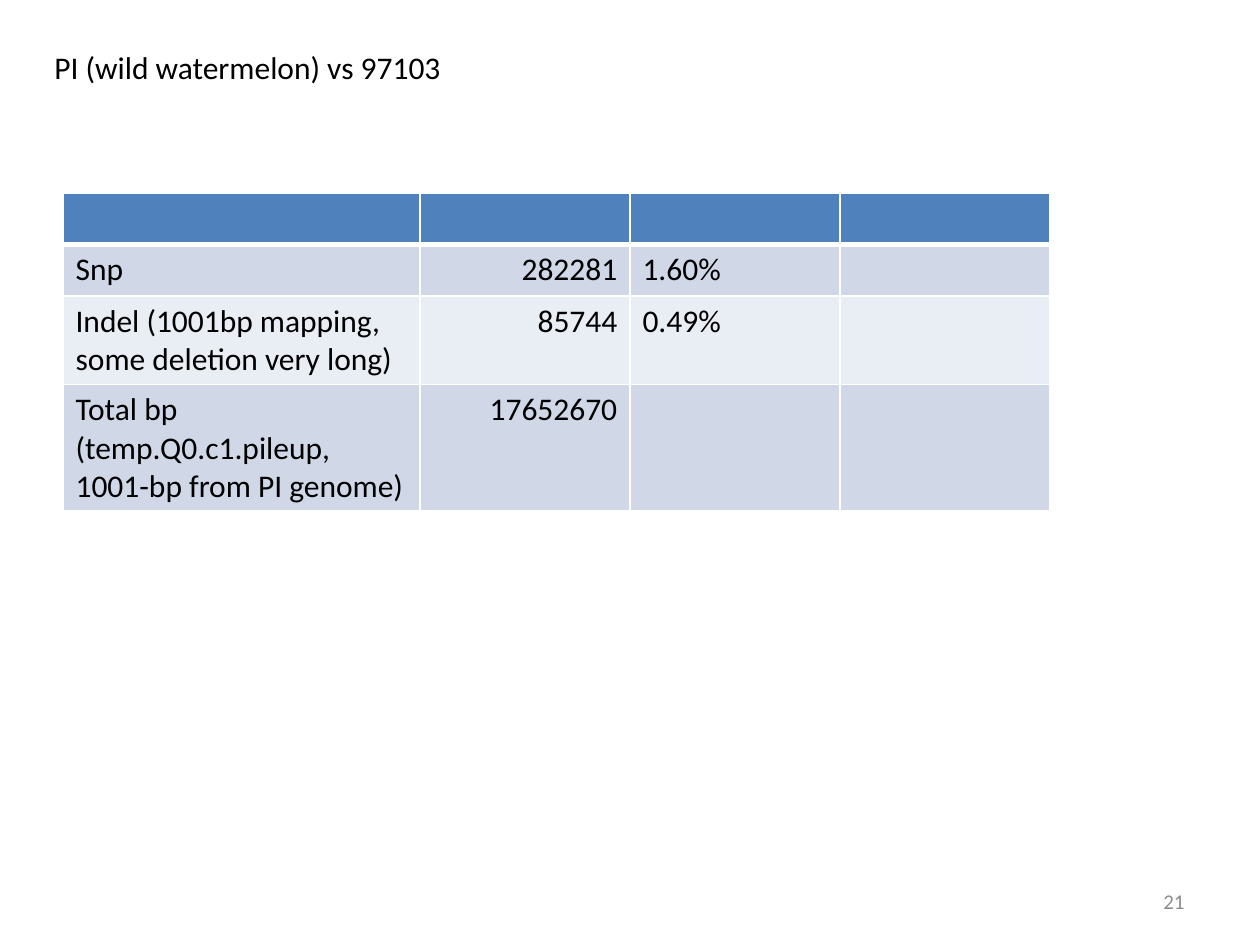
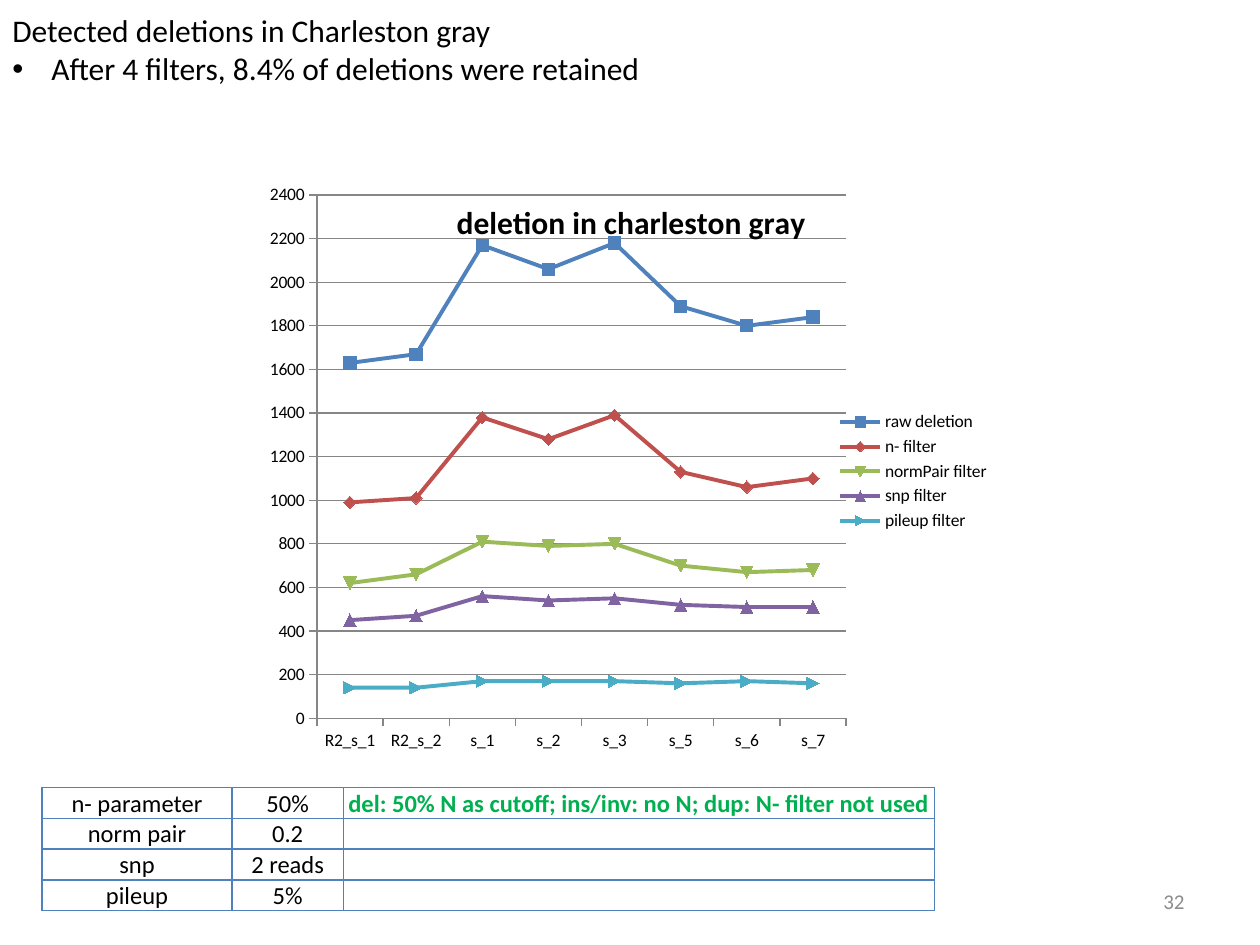
import pptx
import pptx.chart.data
import pptx.dml.color
import pptx.enum.chart
import pptx.enum.text
import pptx.oxml
import pptx.oxml.ns
import pptx.util
from lxml import etree

# ---- Content ----
COLORS = {
    "black": "000000", "white": "FFFFFF", "page": "8C8C8C", "grid": "868686",
    "blue": "4F81BD", "red": "C0504D", "olive": "9BBB59", "purple": "8064A2",
    "aqua": "4BACC6", "green": "00B050", "band": "D0D8E8", "pale": "E9EDF4",
}
FONT = "Calibri"
GRID_COLUMNS, GRID_ROWS = 120, 90

VARIANT_HEADING = "PI (wild watermelon) vs 97103"
VARIANTS = [
    ("", "", "", ""),
    ("Snp", "282281", "1.60%", ""),
    ("Indel (1001bp mapping, some deletion very long)", "85744", "0.49%", ""),
    ("Total bp (temp.Q0.c1.pileup, 1001-bp from PI genome)", "17652670", "", ""),
]
VARIANT_FILLS = ["blue", "band", "pale", "band"]

DELETION_HEADING = "Detected deletions in Charleston gray"
DELETION_FINDING = "After 4 filters, 8.4% of deletions were retained"
CHART_TITLE = "deletion in charleston gray"
SAMPLES = ["R2_s_1", "R2_s_2", "s_1", "s_2", "s_3", "s_5", "s_6", "s_7"]
DELETIONS = [
    ("raw deletion", "blue", (1630, 1670, 2170, 2060, 2180, 1890, 1800, 1840)),
    ("n- filter", "red", (990, 1010, 1380, 1280, 1390, 1130, 1060, 1100)),
    ("normPair filter", "olive", (620, 660, 810, 790, 800, 700, 670, 680)),
    ("snp filter", "purple", (450, 470, 560, 540, 550, 520, 510, 510)),
    ("pileup filter", "aqua", (140, 140, 170, 170, 170, 160, 170, 160)),
]
FILTERS = [
    ("n- parameter", "50%",
     "del: 50% N as cutoff; ins/inv: no N; dup: N- filter not used"),
    ("norm pair", "0.2", ""),
    ("snp", "2 reads", ""),
    ("pileup", "5%", ""),
]

ALIGN = pptx.enum.text.PP_ALIGN
MIDDLE = pptx.enum.text.MSO_ANCHOR.MIDDLE

deck = pptx.Presentation()
deck.slide_width = pptx.util.Inches(10)
deck.slide_height = pptx.util.Inches(7.5)


# ---- Shared helpers ----
def across(columns):
    return int(deck.slide_width * columns / GRID_COLUMNS)


def down(rows):
    return int(deck.slide_height * rows / GRID_ROWS)


def place(left, top, width, height):
    return across(left), down(top), across(width), down(height)


def rgb(name):
    return pptx.dml.color.RGBColor.from_string(COLORS[name])


def write(paragraph, text, size=18, color="black", bold=False,
          align=ALIGN.LEFT, bullet=False):
    paragraph.alignment = align
    if bullet:
        properties = paragraph._p.get_or_add_pPr()
        indent = pptx.util.Inches(0.31)
        properties.set("marL", str(indent))
        properties.set("indent", str(-indent))
        for tag, key, value in (("a:buFont", "typeface", "Arial"),
                                ("a:buChar", "char", "•")):
            mark = etree.SubElement(properties, pptx.oxml.ns.qn(tag))
            mark.set(key, value)
    if not text:
        paragraph._p.get_or_add_endParaRPr().set("sz", str(size * 100))
        return
    run = paragraph.add_run()
    run.text = text
    run.font.name = FONT
    run.font.size = pptx.util.Pt(size)
    run.font.bold = bold
    run.font.color.rgb = rgb(color)


def add_box(slide, *area):
    frame = slide.shapes.add_textbox(*place(*area)).text_frame
    frame.word_wrap = True
    return frame


def add_page(number):
    slide = deck.slides.add_slide(deck.slide_layouts[6])
    frame = add_box(slide, 86, 83.4, 28, 4.8)
    frame.vertical_anchor = MIDDLE
    write(frame.paragraphs[0], number, size=12, color="page", align=ALIGN.RIGHT)
    return slide


def add_grid(slide, left, top, widths, heights):
    table = slide.shapes.add_table(
        len(heights), len(widths),
        *place(left, top, sum(widths), sum(heights))).table
    table.first_row = table.horz_banding = False
    for column, width in zip(table.columns, widths):
        column.width = across(width)
    for row, height in zip(table.rows, heights):
        row.height = down(height)
    return table


def set_borders(cell, color, top=1, bottom=1):
    properties = cell._tc.get_or_add_tcPr()
    sides = (("L", 1), ("R", 1), ("T", top), ("B", bottom))
    for position, (side, points) in enumerate(sides):
        properties.insert(position, pptx.oxml.parse_xml(
            f'<a:ln{side} {pptx.oxml.ns.nsdecls("a")} w="{pptx.util.Pt(points)}">'
            f'<a:solidFill><a:srgbClr val="{COLORS[color]}"/></a:solidFill>'
            f'</a:ln{side}>'))


def chart_layout(target, **shares):
    """Set a manual layout, given as shares of the chart's size."""
    parts = "".join(f'<c:{tag} val="{value}"/>' for tag, value in shares.items())
    return pptx.oxml.parse_xml(
        f'<c:layout {pptx.oxml.ns.nsdecls("c")}><c:manualLayout>'
        f'<c:layoutTarget val="{target}"/>'
        f'<c:xMode val="edge"/><c:yMode val="edge"/>{parts}'
        f'</c:manualLayout></c:layout>')


def remove_layout(element):
    for layout in element.findall(pptx.oxml.ns.qn("c:layout")):
        element.remove(layout)


# ---- Variants in wild watermelon ----
def build_variants():
    slide = add_page("21")
    write(add_box(slide, 4, 4, 67, 4.8).paragraphs[0], VARIANT_HEADING)
    table = add_grid(slide, 6, 18.4, (34, 20, 20, 20), (4.9, 4.9, 8.4, 11.9))
    for row, values in enumerate(VARIANTS):
        for column, value in enumerate(values):
            cell = table.cell(row, column)
            cell.fill.solid()
            cell.fill.fore_color.rgb = rgb(VARIANT_FILLS[row])
            set_borders(cell, "white", top=3 if row == 1 else 1,
                        bottom=3 if row == 0 else 1)
            write(cell.text_frame.paragraphs[0], value,
                  align=ALIGN.RIGHT if column == 1 else ALIGN.LEFT)


# ---- Deletions left after each filter ----
def add_deletion_chart(slide):
    counts = pptx.chart.data.CategoryChartData()
    counts.categories = SAMPLES
    for name, _, values in DELETIONS:
        counts.add_series(name, values)
    chart = slide.shapes.add_chart(
        pptx.enum.chart.XL_CHART_TYPE.LINE_MARKERS,
        *place(24.5, 16.9, 71, 56), counts).chart
    chart.font.name = FONT
    chart.font.size = pptx.util.Pt(10)
    chart.font.color.rgb = rgb("black")

    chart.has_title = True
    write(chart.chart_title.text_frame.paragraphs[0], CHART_TITLE,
          bold=True, align=ALIGN.CENTER)
    title = chart.chart_title._element
    remove_layout(title)
    overlay = title.find(pptx.oxml.ns.qn("c:overlay"))
    overlay.set("val", "1")
    overlay.addprevious(chart_layout("outer", x=0.26, y=0.03))

    plot_area = chart._chartSpace.chart.plotArea
    remove_layout(plot_area)
    plot_area.insert(0, chart_layout("inner", x=0.08, y=0.03, w=0.71, h=0.89))

    chart.has_legend = True
    chart.legend.position = pptx.enum.chart.XL_LEGEND_POSITION.RIGHT
    chart.legend.include_in_layout = False

    counts_axis = chart.value_axis
    counts_axis.minimum_scale, counts_axis.maximum_scale = 0, 2400
    counts_axis.major_unit = 200
    counts_axis.has_major_gridlines = True
    for line in (counts_axis.format.line, chart.category_axis.format.line,
                 counts_axis.major_gridlines.format.line):
        line.color.rgb = rgb("grid")
        line.width = pptx.util.Pt(0.75)
    for axis in (counts_axis, chart.category_axis):
        axis.major_tick_mark = pptx.enum.chart.XL_TICK_MARK.OUTSIDE

    chart.plots[0].vary_by_categories = False
    for series, (_, color, _) in zip(chart.plots[0].series, DELETIONS):
        series.smooth = False
        series.format.line.color.rgb = rgb(color)
        series.format.line.width = pptx.util.Pt(2.25)
        series.marker.size = 7
        series.marker.format.fill.solid()
        series.marker.format.fill.fore_color.rgb = rgb(color)
        series.marker.format.line.color.rgb = rgb(color)


def build_deletions():
    slide = add_page("32")
    add_deletion_chart(slide)
    heading = add_box(slide, 0, 0.5, 96, 8.5)
    write(heading.paragraphs[0], DELETION_HEADING)
    write(heading.add_paragraph(), DELETION_FINDING, bullet=True)

    table = add_grid(slide, 4, 75, (18.1, 10.6, 56.3), [2.93] * len(FILTERS))
    for row, values in enumerate(FILTERS):
        for column, value in enumerate(values):
            cell = table.cell(row, column)
            cell.fill.background()
            cell.vertical_anchor = MIDDLE
            cell.margin_left = cell.margin_right = pptx.util.Inches(0.01)
            cell.margin_top = pptx.util.Inches(0.01)
            cell.margin_bottom = 0
            set_borders(cell, "blue")
            is_note = column == 2
            write(cell.text_frame.paragraphs[0], value, size=14, bold=is_note,
                  color="green" if is_note else "black", align=ALIGN.CENTER)


if __name__ == "__main__":
    build_variants()
    build_deletions()
    deck.save("out.pptx")
